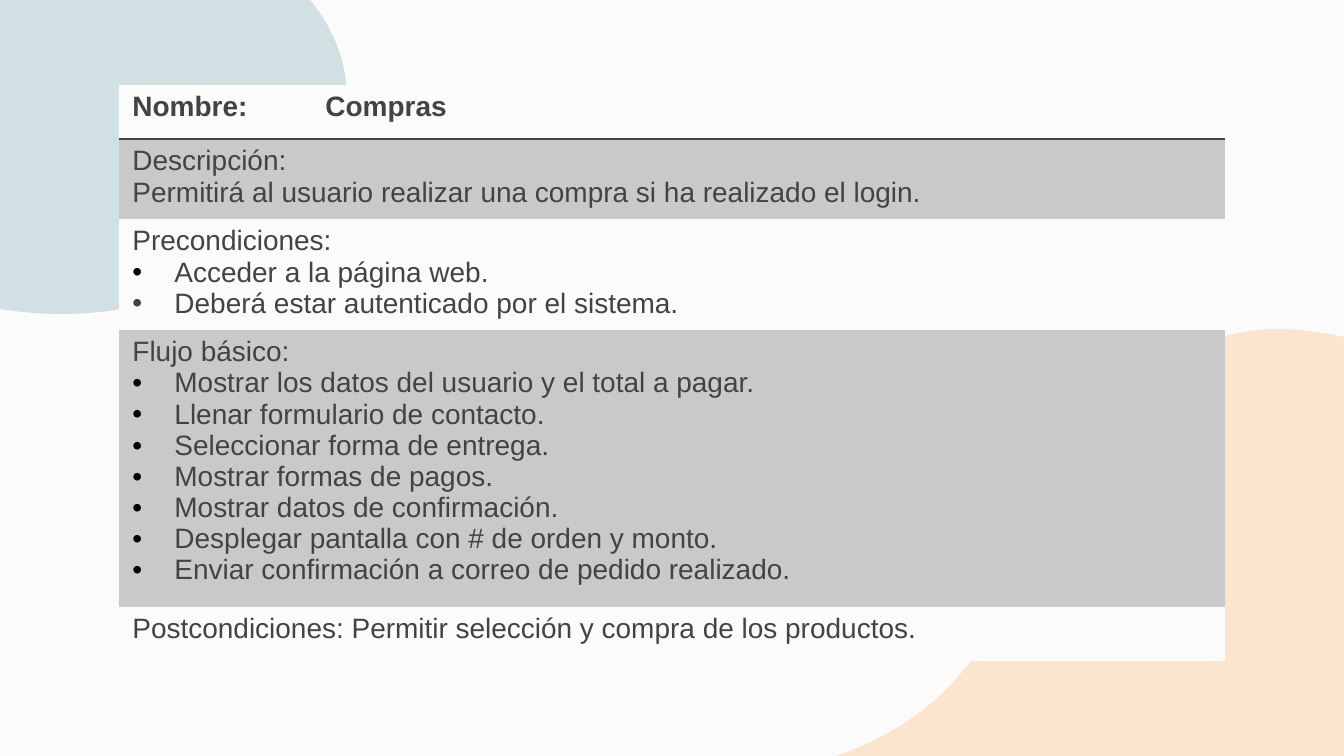
from lxml import etree
from pptx import Presentation
from pptx.dml.color import RGBColor
from pptx.enum.text import PP_ALIGN
from pptx.oxml import parse_xml
from pptx.oxml.ns import nsdecls, qn
from pptx.util import Pt

PX = 9144000 / 1344
JUSTIFY = PP_ALIGN.JUSTIFY
BACKGROUND = RGBColor(0xFB, 0xFB, 0xFB)
BAND = RGBColor(0xC9, 0xC9, 0xC9)
INK = RGBColor(0x43, 0x43, 0x43)
BLACK = RGBColor(0x00, 0x00, 0x00)
TEAL = RGBColor(0xD0, 0xE0, 0xE3)
PEACH = RGBColor(0xFC, 0xE5, 0xCD)
PLAIN_STYLE = "{2D5ABB26-0587-4C30-8999-92F81FD0307C}"
BULLET_INDENT = 42


def px(length):
    return round(length * PX)


presentation = Presentation()
presentation.slide_width = px(1344)
presentation.slide_height = px(756)
slide = presentation.slides.add_slide(presentation.slide_layouts[6])
slide.background.fill.solid()
slide.background.fill.fore_color.rgb = BACKGROUND

peach_segments = [
    [(1344, 756)],
    [(836, 756)],
    [(964, 711), (996, 629), (1071, 489)],
    [(1145, 349), (1224, 310), (1344, 337)],
]
teal_segments = [
    [(347, 98)],
    [(347, 222), (191, 340), (0, 309)],
    [(0, 0)],
    [(310, 0)],
    [(336, 31), (347, 66), (347, 98)],
]
for segments, color in ((peach_segments, PEACH), (teal_segments, TEAL)):
    points = [point for segment in segments for point in segment]
    builder = slide.shapes.build_freeform(*points[0], scale=PX)
    builder.add_line_segments(points[1:], close=True)
    shape = builder.convert_to_shape()
    shape.shadow.inherit = False
    shape.fill.solid()
    shape.fill.fore_color.rgb = color
    shape.line.fill.background()
    lines = iter(list(shape.element.iter(qn("a:lnTo"))))
    for segment in segments[1:]:
        first = next(lines)
        if len(segment) == 3:
            first.tag = qn("a:cubicBezTo")
            for control in (next(lines), next(lines)):
                first.append(control[0])
                control.getparent().remove(control)

column_widths = [193, 913]
row_heights = [54, 80, 111, 277, 54]
rows = [
    [["Nombre:"], ["Compras"]],
    [["Descripción:",
      "Permitirá al usuario realizar una compra si ha realizado el login."]],
    [["Precondiciones:",
      "Acceder a la página web.",
      "Deberá estar autenticado por el sistema."]],
    [["Flujo básico:",
      "Mostrar los datos del usuario y el total a pagar.",
      "Llenar formulario de contacto.",
      "Seleccionar forma de entrega.",
      "Mostrar formas de pagos.",
      "Mostrar datos de confirmación.",
      "Desplegar pantalla con # de orden y monto.",
      "Enviar confirmación a correo de pedido realizado."]],
    [["Postcondiciones: Permitir selección y compra de los productos."]],
]
bulleted_rows = (2, 3)
ink_bullet = (2, 2)

frame = slide.shapes.add_table(len(rows), len(column_widths), px(119), px(85),
                               px(sum(column_widths)), px(sum(row_heights)))
table = frame.table
table.first_row = False
table.horz_banding = False
next(frame.element.iter(qn("a:tableStyleId"))).text = PLAIN_STYLE
for column, width in zip(table.columns, column_widths):
    column.width = px(width)

for row_index, (height, texts) in enumerate(zip(row_heights, rows)):
    table.rows[row_index].height = px(height)
    if len(texts) == 1:
        table.cell(row_index, 0).merge(table.cell(row_index, 1))
    for column_index, lines in enumerate(texts):
        cell = table.cell(row_index, column_index)
        cell.fill.solid()
        cell.fill.fore_color.rgb = BAND if row_index % 2 else BACKGROUND
        if row_index == 0:
            border = parse_xml(
                f'<a:lnB {nsdecls("a")} w="{Pt(1.5)}"><a:solidFill>'
                f'<a:srgbClr val="{INK}"/></a:solidFill></a:lnB>')
            cell._tc.get_or_add_tcPr().insert(0, border)
        cell.text_frame.text = "\n".join(lines)
        for line_index, paragraph in enumerate(cell.text_frame.paragraphs):
            paragraph.alignment = JUSTIFY
            if row_index in bulleted_rows and line_index > 0:
                properties = paragraph._p.get_or_add_pPr()
                properties.set("marL", str(px(BULLET_INDENT)))
                properties.set("indent", str(-px(BULLET_INDENT)))
                bullet_color = INK if (row_index, line_index) == ink_bullet else BLACK
                color_element = etree.SubElement(properties, qn("a:buClr"))
                etree.SubElement(color_element, qn("a:srgbClr"), val=str(bullet_color))
                etree.SubElement(properties, qn("a:buFont"), typeface="Arial")
                etree.SubElement(properties, qn("a:buChar"), char="•")
            for run in paragraph.runs:
                run.font.name = "Arial"
                run.font.size = Pt(15)
                run.font.bold = row_index == 0
                run.font.color.rgb = INK

presentation.save("out.pptx")
